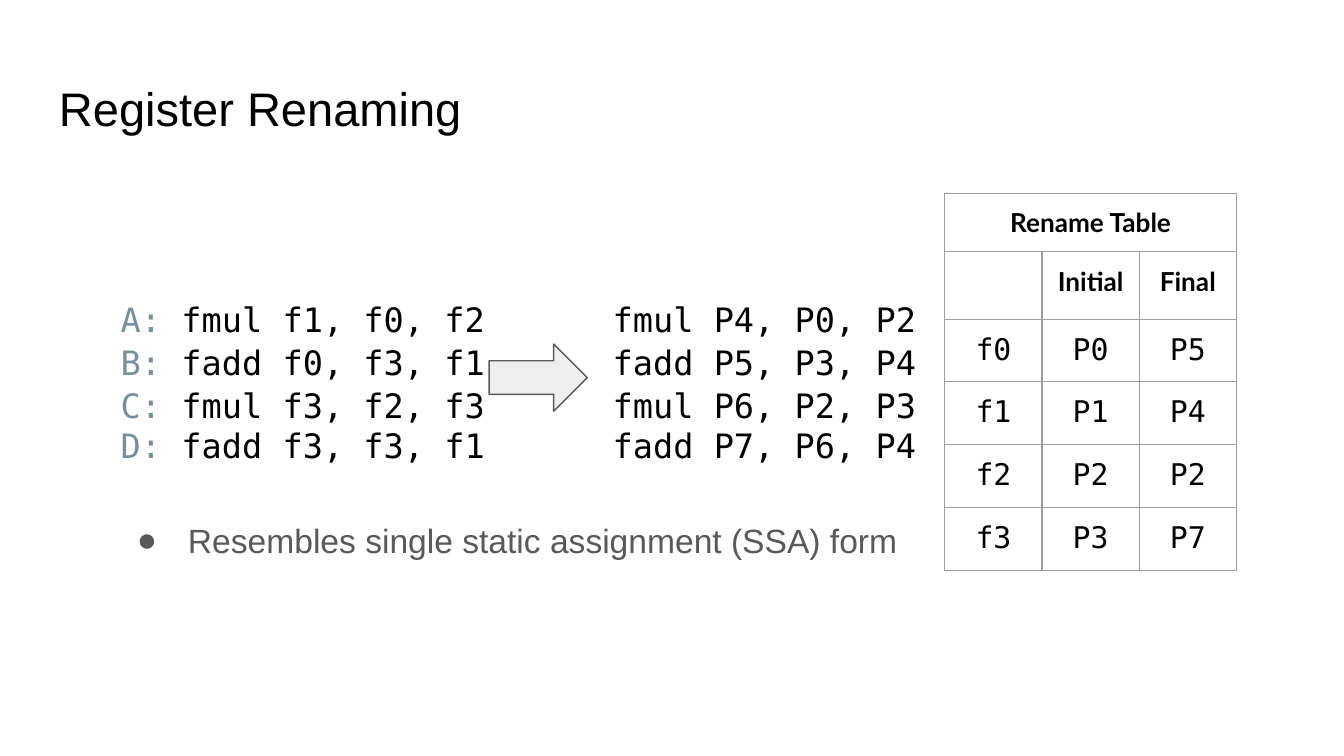
"""Build the Register Renaming slide."""
import dataclasses

import pptx
import pptx.dml.color
import pptx.enum.shapes
import pptx.enum.text
import pptx.oxml
import pptx.oxml.ns
import pptx.util
from lxml import etree

Inches = pptx.util.Inches
Pt = pptx.util.Pt
qn = pptx.oxml.ns.qn


@dataclasses.dataclass(frozen=True)
class Theme:
    sans: str = "Arial"
    mono: str = "DejaVu Sans Mono"
    heading: str = "Lato"
    black: str = "000000"
    gray: str = "595959"
    label: str = "78909C"
    arrow: str = "EEEEEE"
    border: str = "9E9E9E"
    title_size: float = 25.2
    body_size: float = 18
    head_size: float = 14
    cell_size: float = 16
    line_width: float = 0.75


THEME = Theme()
CODE = [
    ("A:", "fmul f1, f0, f2", "fmul P4, P0, P2"),
    ("B:", "fadd f0, f3, f1", "fadd P5, P3, P4"),
    ("C:", "fmul f3, f2, f3", "fmul P6, P2, P3"),
    ("D:", "fadd f3, f3, f1", "fadd P7, P6, P4"),
]
RENAMES = [
    ("Rename Table", "", ""),
    ("", "Initial", "Final"),
    ("f0", "P0", "P5"),
    ("f1", "P1", "P4"),
    ("f2", "P2", "P2"),
    ("f3", "P3", "P7"),
]
ROW_HEIGHT = 0.42
TABLE_WIDTH = 2.17


def rgb(color):
    return pptx.dml.color.RGBColor.from_string(color)


def add_run(p, text, *, size=THEME.body_size, font=THEME.sans, color=THEME.black, bold=False):
    r = p.add_run()
    r.text = text
    r.font.size = Pt(size)
    r.font.name = font
    r.font.bold = bold
    r.font.color.rgb = rgb(color)


def set_margins(box):
    box.margin_left = box.margin_right = Inches(0.1)
    box.margin_top = box.margin_bottom = Inches(0.1)


def add_box(s, left, top, width, height):
    sp = s.shapes.add_textbox(Inches(left), Inches(top), Inches(width), Inches(height))
    tf = sp.text_frame
    tf.word_wrap = True
    set_margins(tf)
    return tf


def add_code(s, left, lines):
    tf = add_box(s, left, 2.1, 3.12, 1.43)
    for i, (label, code) in enumerate(lines):
        p = tf.add_paragraph() if i else tf.paragraphs[0]
        if i < len(lines) - 1:
            p.line_spacing = 1.07
        if label:
            add_run(p, label, font=THEME.mono, color=THEME.label)
            code = " " + code
        add_run(p, code, font=THEME.mono)


def add_bullet(s, text):
    p = add_box(s, 0.8, 3.72, 8.41, 1.71).paragraphs[0]
    p.line_spacing = 1.15
    add_run(p, text, color=THEME.gray)
    pPr = p._p.get_or_add_pPr()
    pPr.set("marL", str(Inches(0.5)))
    pPr.set("indent", str(Inches(-0.38)))
    color = etree.SubElement(pPr, qn("a:buClr"))
    etree.SubElement(color, qn("a:srgbClr"), val=THEME.gray)
    etree.SubElement(pPr, qn("a:buFont"), typeface=THEME.sans)
    etree.SubElement(pPr, qn("a:buChar"), char="●")


def add_arrow(s):
    kind = pptx.enum.shapes.MSO_SHAPE.RIGHT_ARROW
    sp = s.shapes.add_shape(kind, Inches(3.64), Inches(2.56), Inches(0.73), Inches(0.5))
    sp.shadow.inherit = False
    sp.fill.solid()
    sp.fill.fore_color.rgb = rgb(THEME.arrow)
    sp.line.color.rgb = rgb(THEME.gray)
    sp.line.width = Pt(THEME.line_width)


def set_borders(cell):
    tcPr = cell._tc.get_or_add_tcPr()
    for i, side in enumerate(("lnL", "lnR", "lnT", "lnB")):
        tcPr.insert(i, pptx.oxml.parse_xml(
            f'<a:{side} {pptx.oxml.ns.nsdecls("a")} w="{Pt(THEME.line_width)}">'
            f'<a:solidFill><a:srgbClr val="{THEME.border}"/></a:solidFill></a:{side}>'
        ))


def set_empty_font(p):
    end = etree.SubElement(p._p, qn("a:endParaRPr"), sz=str(THEME.body_size * 100))
    etree.SubElement(end, qn("a:latin"), typeface=THEME.sans)


def add_rename_table(s):
    rows, cols = len(RENAMES), len(RENAMES[0])
    table = s.shapes.add_table(
        rows, cols, Inches(7.03), Inches(1.44),
        Inches(TABLE_WIDTH), Inches(ROW_HEIGHT * rows),
    ).table
    table.first_row = table.horz_banding = False
    for col in table.columns:
        col.width = Inches(TABLE_WIDTH / cols)
    for i, texts in enumerate(RENAMES):
        table.rows[i].height = Inches(ROW_HEIGHT)
        head = i < 2
        for j, text in enumerate(texts):
            cell = table.cell(i, j)
            set_margins(cell)
            cell.fill.background()
            set_borders(cell)
            p = cell.text_frame.paragraphs[0]
            p.alignment = pptx.enum.text.PP_ALIGN.CENTER
            if text:
                add_run(p, text, bold=head,
                        size=THEME.head_size if head else THEME.cell_size,
                        font=THEME.heading if head else THEME.mono)
            else:
                set_empty_font(p)
    table.cell(0, 0).merge(table.cell(0, cols - 1))


def main():
    prs = pptx.Presentation()
    prs.slide_width = Inches(10)
    prs.slide_height = Inches(10 * 9 / 16)
    s = prs.slides.add_slide(prs.slide_layouts[6])
    title = add_box(s, 0.34, 0.49, 9.32, 0.63)
    add_run(title.paragraphs[0], "Register Renaming", size=THEME.title_size)
    add_code(s, 0.8, [(label, before) for label, before, after in CODE])
    add_code(s, 4.46, [("", after) for label, before, after in CODE])
    add_rename_table(s)
    add_arrow(s)
    add_bullet(s, "Resembles single static assignment (SSA) form")
    prs.save("out.pptx")


if __name__ == "__main__":
    main()
